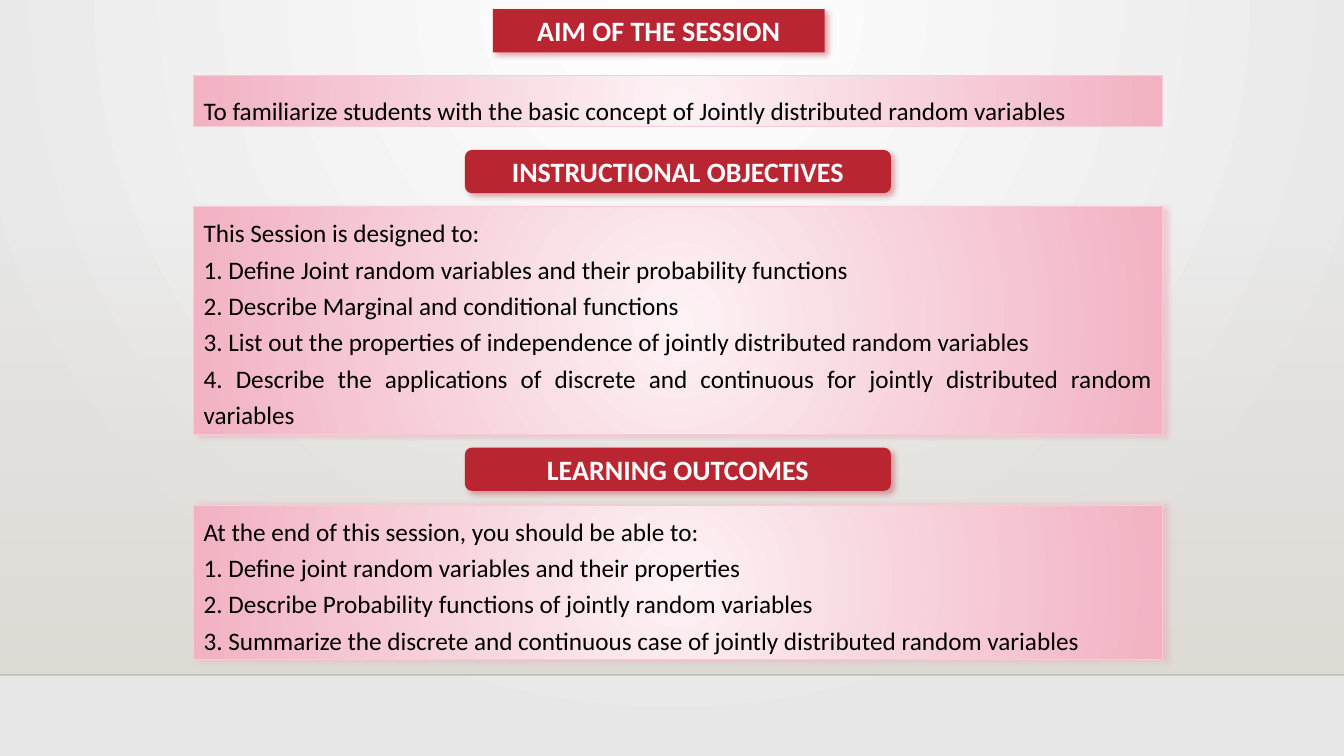
from dataclasses import dataclass

from lxml.etree import SubElement
from pptx import Presentation
from pptx.dml.color import RGBColor
from pptx.enum.shapes import MSO_CONNECTOR, MSO_SHAPE
from pptx.enum.text import MSO_ANCHOR, MSO_AUTO_SIZE, PP_ALIGN
from pptx.oxml import parse_xml
from pptx.oxml.ns import nsdecls, qn
from pptx.util import Cm, Pt


@dataclass(frozen=True)
class Theme:
    font: str = "Calibri"
    heading_size: int = 20
    body_size: int = 18
    badge: str = "BA2532"
    badge_text: str = "FFFFFF"
    body_text: str = "000000"
    panel_center: str = "FDF2F5"
    panel_edge: str = "F2B2C2"
    panel_line: str = "F7CCD6"
    panel_shadow: str = "EE99AD"
    page_center: str = "FFFFFF"
    page_edge: str = "E7E7E7"
    floor: str = "DFDBD5"
    floor_line: str = "000001"


THEME = Theme()
SLIDE_WIDTH, SLIDE_HEIGHT = 33.87, 19.05
FLOOR_TOP, FLOOR_HEIGHT = 5.61, 11.4
PANEL_LEFT, PANEL_WIDTH = 4.88, 24.41
BADGE_WIDTH, BADGE_HEIGHT = 10.74, 1.09
BADGE_LEFT = PANEL_LEFT + (PANEL_WIDTH - BADGE_WIDTH) / 2

AIM = [
    "To familiarize students with the basic concept of Jointly distributed random variables",
]
OBJECTIVES = [
    "This Session is designed to:",
    "1. Define Joint random variables and their probability functions",
    "2. Describe Marginal and conditional functions",
    "3. List out the properties of independence of jointly distributed random variables",
    "4. Describe the applications of discrete and continuous for jointly distributed random variables",
]
OUTCOMES = [
    "At the end of this session, you should be able to:",
    "1. Define joint random variables and their properties",
    "2. Describe Probability functions of jointly random variables",
    "3. Summarize the discrete and continuous case of jointly distributed random variables",
]


def set_gradient(owner, first, last, direction, first_opacity=100):
    """Replace the gradient fill found in the owner element by a two-colour one."""
    gradient = parse_xml(
        f'<a:gradFill {nsdecls("a")} rotWithShape="1"><a:gsLst>'
        f'<a:gs pos="0"><a:srgbClr val="{first}">'
        f'<a:alpha val="{first_opacity * 1000}"/></a:srgbClr></a:gs>'
        f'<a:gs pos="100000"><a:srgbClr val="{last}"/></a:gs>'
        f'</a:gsLst>{direction}</a:gradFill>'
    )
    previous = owner.find(".//" + qn("a:gradFill"))
    previous.getparent().replace(previous, gradient)


def circle_path(left, top, right, bottom):
    return (
        f'<a:path path="circle"><a:fillToRect l="{left * 1000}" t="{top * 1000}" '
        f'r="{right * 1000}" b="{bottom * 1000}"/></a:path>'
    )


def set_shadow(shape, color, angle):
    shape.shadow.inherit = False
    effects = shape.element.spPr.find(qn("a:effectLst"))
    effects.append(parse_xml(
        f'<a:outerShdw {nsdecls("a")} blurRad="{Pt(4)}" dist="{Pt(3)}" '
        f'dir="{angle * 60000}" algn="ctr" rotWithShape="0">'
        f'<a:srgbClr val="{color}"><a:alpha val="40000"/></a:srgbClr></a:outerShdw>'
    ))


def place(shape, box):
    shape.left, shape.top, shape.width, shape.height = (Cm(length) for length in box)


def add_text(para, text, size, color, bold=False, align=PP_ALIGN.LEFT, spacing=1.0):
    para.alignment = align
    para.line_spacing = spacing
    span = para.add_run()
    span.text = text
    span.font.name = THEME.font
    span.font.size = Pt(size)
    span.font.bold = bold
    span.font.color.rgb = RGBColor.from_string(color)


def add_background(page):
    page.background.fill.gradient()
    set_gradient(page.element, THEME.page_center, THEME.page_edge, circle_path(43, 0, 43, 100))

    floor = page.shapes.add_shape(
        MSO_SHAPE.RECTANGLE, 0, Cm(FLOOR_TOP), Cm(SLIDE_WIDTH), Cm(FLOOR_HEIGHT))
    floor.shadow.inherit = False
    floor.line.fill.background()
    floor.fill.gradient()
    set_gradient(floor.element.spPr, THEME.floor, THEME.floor,
                 '<a:lin ang="5400000" scaled="0"/>', first_opacity=0)

    bottom = Cm(FLOOR_TOP + FLOOR_HEIGHT)
    edge = page.shapes.add_connector(MSO_CONNECTOR.STRAIGHT, 0, bottom, Cm(SLIDE_WIDTH), bottom)
    edge.line.width = Pt(1)
    edge.line.color.rgb = RGBColor.from_string(THEME.floor_line)
    properties = edge.element.spPr
    SubElement(properties.find(".//" + qn("a:srgbClr")), qn("a:alpha"), val="20000")
    SubElement(properties, qn("a:effectLst"))


def format_badge(badge, text, box):
    """Style a shape or title placeholder as a red heading badge."""
    place(badge, box)
    badge.fill.solid()
    badge.fill.fore_color.rgb = RGBColor.from_string(THEME.badge)
    badge.line.fill.background()
    set_shadow(badge, THEME.badge, 45)
    frame = badge.text_frame
    frame.word_wrap = True
    frame.auto_size = MSO_AUTO_SIZE.NONE
    frame.vertical_anchor = MSO_ANCHOR.MIDDLE
    add_text(frame.paragraphs[0], text, THEME.heading_size, THEME.badge_text,
             bold=True, align=PP_ALIGN.CENTER)


def add_title(page, text, box):
    title = page.shapes.title
    place(title, box)
    title.element.spPr.find(qn("a:xfrm")).addnext(
        parse_xml(f'<a:prstGeom {nsdecls("a")} prst="roundRect"><a:avLst/></a:prstGeom>'))
    format_badge(title, text, box)


def add_badge(page, text, box):
    badge = page.shapes.add_shape(MSO_SHAPE.ROUNDED_RECTANGLE, 0, 0, 0, 0)
    format_badge(badge, text, box)


def add_panel(page, lines, box, spacing=1.2, align=PP_ALIGN.JUSTIFY, shadow=True):
    panel = page.shapes.add_shape(MSO_SHAPE.RECTANGLE, 0, 0, 0, 0)
    place(panel, box)
    panel.fill.gradient()
    set_gradient(panel.element.spPr, THEME.panel_center, THEME.panel_edge,
                 circle_path(50, 50, 50, 50))
    panel.line.color.rgb = RGBColor.from_string(THEME.panel_line)
    panel.line.width = Pt(0.75)
    panel.shadow.inherit = False
    if shadow:
        set_shadow(panel, THEME.panel_shadow, 0)
    frame = panel.text_frame
    frame.word_wrap = True
    frame.auto_size = MSO_AUTO_SIZE.SHAPE_TO_FIT_TEXT
    frame.vertical_anchor = MSO_ANCHOR.TOP
    for index, line in enumerate(lines):
        para = frame.add_paragraph() if index else frame.paragraphs[0]
        add_text(para, line, THEME.body_size, THEME.body_text, align=align, spacing=spacing)


def main():
    deck = Presentation()
    deck.slide_width, deck.slide_height = Cm(SLIDE_WIDTH), Cm(SLIDE_HEIGHT)
    page = deck.slides.add_slide(deck.slide_layouts.get_by_name("Title Only"))

    add_background(page)
    add_title(page, "AIM OF THE SESSION", (12.42, 0.23, 8.36, BADGE_HEIGHT))
    add_panel(page, AIM, (PANEL_LEFT, 1.9, PANEL_WIDTH, 1.3),
              spacing=1.5, align=PP_ALIGN.LEFT, shadow=False)
    for heading, badge_top, lines, panel_top, panel_height in (
        ("INSTRUCTIONAL OBJECTIVES", 3.78, OBJECTIVES, 5.21, 5.74),
        ("LEARNING OUTCOMES", 11.28, OUTCOMES, 12.73, 3.89),
    ):
        add_badge(page, heading, (BADGE_LEFT, badge_top, BADGE_WIDTH, BADGE_HEIGHT))
        add_panel(page, lines, (PANEL_LEFT, panel_top, PANEL_WIDTH, panel_height))

    deck.save("out.pptx")


if __name__ == "__main__":
    main()
